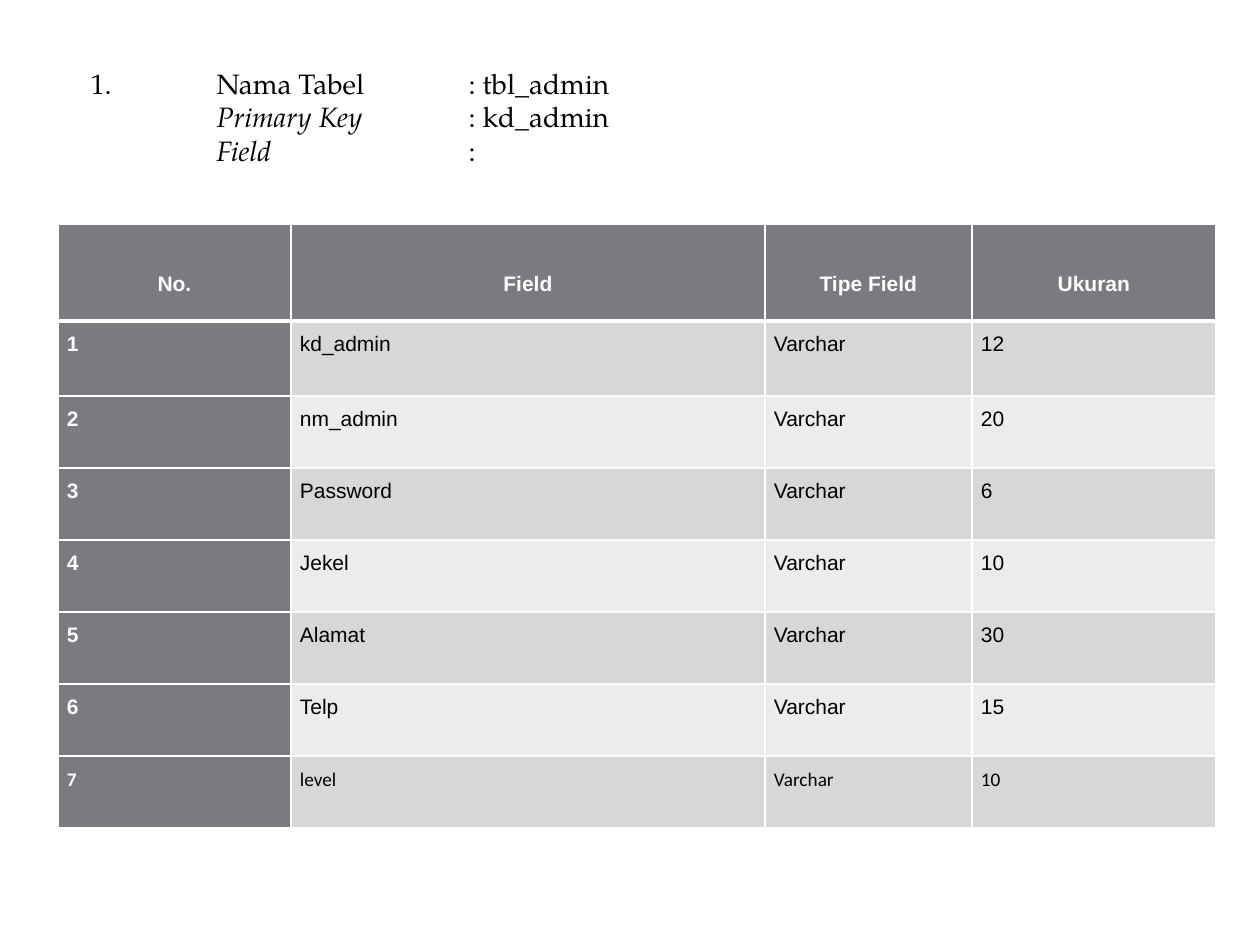
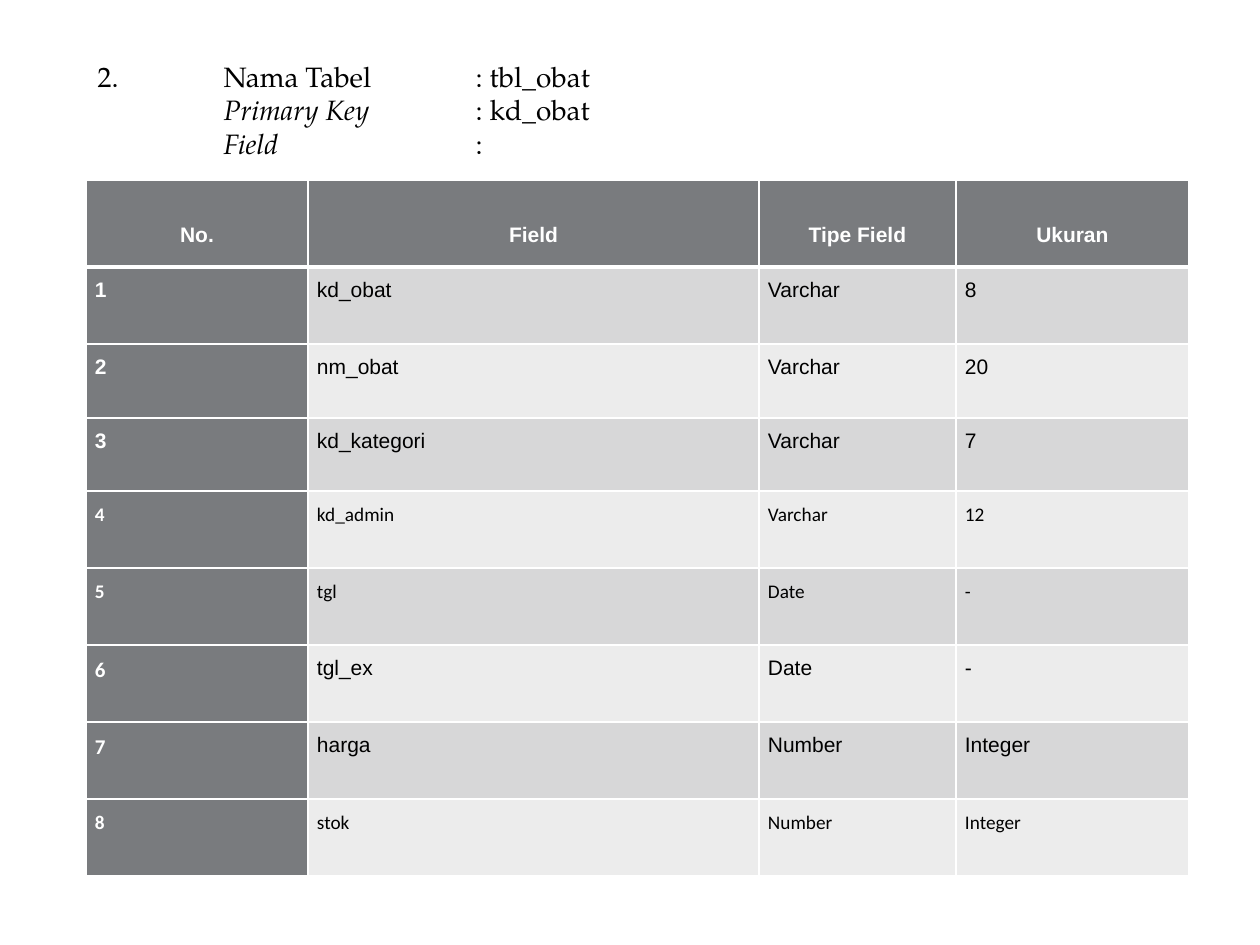
import pptx
import pptx.util
import pptx.dml.color
import pptx.enum.text
import pptx.oxml
import pptx.oxml.ns

SCALE = 914400 / 126
DARK, WHITE, BLACK = "797B7E", "FFFFFF", "000000"
BANDS = ("D7D7D8", "ECECEC")
ALIGN = pptx.enum.text.PP_ALIGN
ANCHOR = pptx.enum.text.MSO_ANCHOR
HEADS = ("No.", "Field", "Tipe Field", "Ukuran")
TABS = (126, 252, 378)

ADMIN = (
    ("kd_admin", "Varchar", "12"),
    ("nm_admin", "Varchar", "20"),
    ("Password", "Varchar", "6"),
    ("Jekel", "Varchar", "10"),
    ("Alamat", "Varchar", "30"),
    ("Telp", "Varchar", "15"),
    ("level", "Varchar", "10"),
)
DRUG = (
    ("kd_obat", "Varchar", "8"),
    ("nm_obat", "Varchar", "20"),
    ("kd_kategori", "Varchar", "7"),
    ("kd_admin", "Varchar", "12"),
    ("tgl", "Date", "-"),
    ("tgl_ex", "Date", "-"),
    ("harga", "Number", "Integer"),
    ("stok", "Number", "Integer"),
)


def px(count):
    return pptx.util.Emu(round(count * SCALE))


def tint(code):
    return pptx.dml.color.RGBColor.from_string(code)


def write(para, text, font="Arial", size=12, color=BLACK, bold=False,
          slant=False, align=ALIGN.LEFT, space=1.0):
    para.alignment = align
    para.line_spacing = space
    run = para.add_run()
    run.text = text
    run.font.name = font
    run.font.size = pptx.util.Pt(size)
    run.font.color.rgb = tint(color)
    run.font.bold = bold
    run.font.italic = slant


def add_tabs(para):
    props = para._p.get_or_add_pPr()
    stops = pptx.oxml.parse_xml(f"<a:tabLst {pptx.oxml.ns.nsdecls('a')}/>")
    for stop in TABS:
        item = stops.makeelement(pptx.oxml.ns.qn("a:tab"), {"pos": str(px(stop)), "algn": "l"})
        stops.append(item)
    props.append(stops)


def add_title(slide, box, number, name, key):
    title = slide.shapes.title
    title.left, title.top, title.width, title.height = map(px, box)
    frame = title.text_frame
    frame.word_wrap = True
    frame.auto_size = pptx.enum.text.MSO_AUTO_SIZE.NONE
    frame.vertical_anchor = ANCHOR.MIDDLE
    lines = (
        ((f"{number}.\tNama Tabel\t: {name}", False),),
        (("\t", False), ("Primary Key \t", True), (f": {key}", False)),
        (("\tField\t\t", True), (":", False)),
    )
    for index, parts in enumerate(lines):
        para = frame.add_paragraph() if index else frame.paragraphs[0]
        for text, slant in parts:
            write(para, text, font="TeX Gyre Pagella", size=16, slant=slant)
        add_tabs(para)


def add_edges(cell, top, base):
    props = cell._tc.get_or_add_tcPr()
    for side, width in zip("LRTB", (1, 1, top, base)):
        props.append(pptx.oxml.parse_xml(
            f"<a:ln{side} {pptx.oxml.ns.nsdecls('a')} w='{pptx.util.Pt(width)}'>"
            f"<a:solidFill><a:srgbClr val='{WHITE}'/></a:solidFill></a:ln{side}>"))


def fill_cell(cell, text, fill, top=1, base=1, anchor=ANCHOR.TOP, **style):
    cell.margin_left = cell.margin_right = px(9)
    cell.margin_top = cell.margin_bottom = 0
    cell.vertical_anchor = anchor
    add_edges(cell, top, base)
    cell.fill.solid()
    cell.fill.fore_color.rgb = tint(fill)
    write(cell.text_frame.paragraphs[0], text, **style)


def add_grid(slide, left, top, widths, heights, fields, small=(), mixed=()):
    frame = slide.shapes.add_table(len(heights), len(widths), px(left), px(top),
                                   px(sum(widths)), px(sum(heights)))
    table = frame.table
    for column, width in zip(table.columns, widths):
        column.width = px(width)
    for row, height in zip(table.rows, heights):
        row.height = px(height)
    for col, head in enumerate(HEADS):
        fill_cell(table.cell(0, col), head, DARK, base=3, anchor=ANCHOR.MIDDLE,
                  color=WHITE, bold=True, align=ALIGN.CENTER, space=2.0)
    for row, field in enumerate(fields, 1):
        for col, text in enumerate((str(row), *field)):
            first = col == 0
            plain = row in small or (first and row in mixed)
            fill_cell(table.cell(row, col), text,
                      DARK if first else BANDS[(row - 1) % 2],
                      top=3 if row == 1 else 1,
                      font="Calibri" if plain else "Arial",
                      size=11 if row in small else 12,
                      color=WHITE if first else BLACK, bold=first,
                      align=ALIGN.JUSTIFY, space=1.5)


def main():
    deck = pptx.Presentation()
    deck.slide_width, deck.slide_height = px(1260), px(945)
    layout = deck.slide_layouts[5]

    slide = deck.slides.add_slide(layout)
    add_title(slide, (78, 59, 1102, 115), 1, "tbl_admin", "kd_admin")
    add_grid(slide, 58, 224, (233, 474, 207, 244), (97, 75) + (72,) * 6,
             ADMIN, small=(7,))

    slide = deck.slides.add_slide(layout)
    add_title(slide, (85, 52, 1089, 115), 2, "tbl_obat", "kd_obat")
    add_grid(slide, 86, 180, (222, 451, 197, 233), (87, 77, 74, 73) + (77,) * 5,
             DRUG, small=(4, 5, 8), mixed=(6, 7))

    deck.save("out.pptx")


if __name__ == "__main__":
    main()
